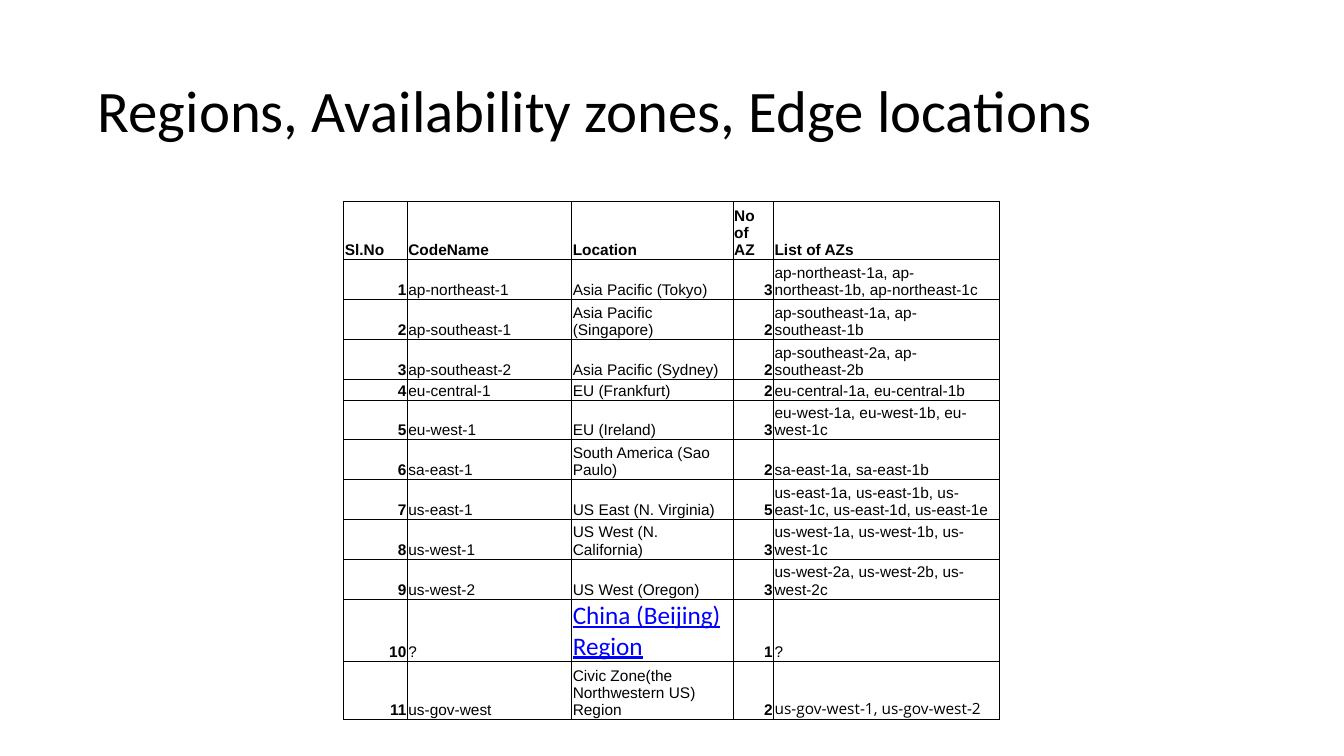
from dataclasses import dataclass

from lxml.etree import SubElement
from pptx import Presentation
from pptx.dml.color import RGBColor as Rgb
from pptx.enum.text import MSO_ANCHOR as Anchor, PP_ALIGN as Align
from pptx.oxml.ns import qn
from pptx.util import Inches, Pt


@dataclass(frozen=True)
class Theme:
    ink: str = "000000"
    paper: str = "FFFFFF"
    link: str = "0000FF"
    title_font: str = "Calibri"
    table_font: str = "Arial"
    zone_font: str = "Open Sans"
    title_size: int = 42
    table_size: int = 11
    link_size: int = 18
    border: float = 0.75


THEME = Theme()
SLIDE_W, SLIDE_H = Inches(13.33), Inches(7.5)

# Left, top, width and height as shares of the slide
TITLE_BOX = (0.069, 0.0533, 0.8627, 0.1933)
TABLE_BOX = (0.2558, 0.2667, 0.488, 0.6267)

COLUMN_SHARES = (63, 163, 160, 40, 224)
ROW_SHARES = (58, 40, 40, 40, 21, 36, 40, 40, 40, 40, 21, 58)
NUMBER_COLUMNS = (0, 3)

HEADINGS = ("Sl.No", "CodeName", "Location", "No of AZ", "List of AZs")
REGIONS = (
    ("ap-northeast-1", "Asia Pacific (Tokyo)", 3,
     "ap-northeast-1a, ap-northeast-1b, ap-northeast-1c"),
    ("ap-southeast-1", "Asia Pacific (Singapore)", 2, "ap-southeast-1a, ap-southeast-1b"),
    ("ap-southeast-2", "Asia Pacific (Sydney)", 2, "ap-southeast-2a, ap-southeast-2b"),
    ("eu-central-1", "EU (Frankfurt)", 2, "eu-central-1a, eu-central-1b"),
    ("eu-west-1", "EU (Ireland)", 3, "eu-west-1a, eu-west-1b, eu-west-1c"),
    ("sa-east-1", "South America (Sao Paulo)", 2, "sa-east-1a, sa-east-1b"),
    ("us-east-1", "US East (N. Virginia)", 5,
     "us-east-1a, us-east-1b, us-east-1c, us-east-1d, us-east-1e"),
    ("us-west-1", "US West (N. California)", 3, "us-west-1a, us-west-1b, us-west-1c"),
    ("us-west-2", "US West (Oregon)", 3, "us-west-2a, us-west-2b, us-west-2c"),
    ("?", "China (Beijing) Region", 1, "?"),
    ("us-gov-west", "Civic Zone(the Northwestern US) Region", 2,
     "us-gov-west-1, us-gov-west-2"),
)

CELL_FORMAT = {
    "vertical_anchor": Anchor.BOTTOM,
    **{f"margin_{side}": Inches(0.01) for side in ("left", "top", "right", "bottom")},
}
# Font formats that differ from the rest of the table, by row and column
SPECIAL_FONTS = {
    (10, 2): {"name": THEME.title_font, "size": Pt(THEME.link_size), "underline": True},
    (11, 4): {"name": THEME.zone_font},
}
SPECIAL_COLORS = {(10, 2): THEME.link}


def apply_format(target, values):
    for attribute, value in values.items():
        setattr(target, attribute, value)


def on_slide(box):
    """Turn shares of the slide into lengths."""
    left, top, width, height = box
    return [round(share * side) for share, side in
            ((left, SLIDE_W), (top, SLIDE_H), (width, SLIDE_W), (height, SLIDE_H))]


def write(paragraph, text, color, font_format):
    run = paragraph.add_run()
    run.text = text
    apply_format(run.font, font_format)
    run.font.color.rgb = Rgb.from_string(color)


def add_title(slide, text):
    frame = slide.shapes.add_textbox(*on_slide(TITLE_BOX)).text_frame
    apply_format(frame, {
        "word_wrap": True, "vertical_anchor": Anchor.MIDDLE,
        "margin_left": Inches(0.05), "margin_right": Inches(0.05),
    })
    heading = frame.paragraphs[0]
    heading.line_spacing = 0.9
    write(heading, text, THEME.ink,
          {"name": THEME.title_font, "size": Pt(THEME.title_size)})


def add_borders(cell):
    properties = cell._tc.get_or_add_tcPr()
    for edge in ("lnL", "lnR", "lnT", "lnB"):
        line = SubElement(properties, qn(f"a:{edge}"), w=str(Pt(THEME.border)))
        SubElement(SubElement(line, qn("a:solidFill")), qn("a:srgbClr"), val=THEME.ink)


def fill_cell(cell, row, column, text):
    apply_format(cell, CELL_FORMAT)
    add_borders(cell)
    cell.fill.solid()
    cell.fill.fore_color.rgb = Rgb.from_string(THEME.paper)
    is_number = row > 0 and column in NUMBER_COLUMNS
    paragraph = cell.text_frame.paragraphs[0]
    paragraph.alignment = Align.RIGHT if is_number else Align.LEFT
    font_format = {
        "name": THEME.table_font, "size": Pt(THEME.table_size),
        "bold": row == 0 or is_number, **SPECIAL_FONTS.get((row, column), {}),
    }
    write(paragraph, str(text), SPECIAL_COLORS.get((row, column), THEME.ink), font_format)


def share_out(total, shares):
    return [round(total * share / sum(shares)) for share in shares]


def add_region_table(slide):
    records = [HEADINGS, *((number, *region) for number, region in enumerate(REGIONS, 1))]
    left, top, width, height = on_slide(TABLE_BOX)
    table = slide.shapes.add_table(
        len(records), len(HEADINGS), left, top, width, height).table
    apply_format(table, {"first_row": False, "horz_banding": False})
    for column, column_width in zip(table.columns, share_out(width, COLUMN_SHARES)):
        column.width = column_width
    for row, row_height in zip(table.rows, share_out(height, ROW_SHARES)):
        row.height = row_height
    for row, record in enumerate(records):
        for column, text in enumerate(record):
            fill_cell(table.cell(row, column), row, column, text)


def main():
    deck = Presentation()
    apply_format(deck, {"slide_width": SLIDE_W, "slide_height": SLIDE_H})
    slide = deck.slides.add_slide(deck.slide_layouts[6])
    add_title(slide, "Regions, Availability zones, Edge locations")
    add_region_table(slide)
    deck.save("out.pptx")


if __name__ == "__main__":
    main()
